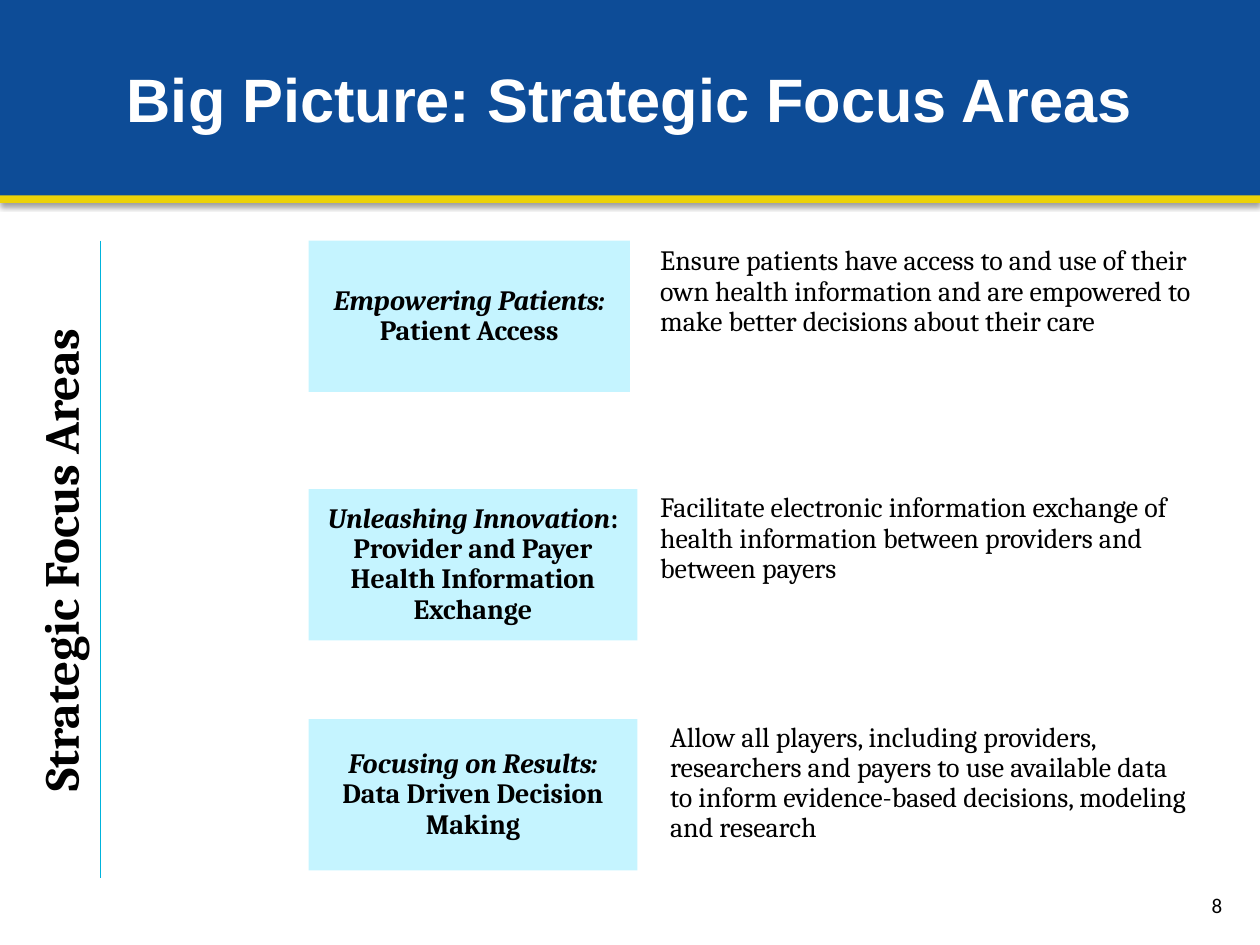
from dataclasses import dataclass

from lxml import etree
from pptx import Presentation
from pptx.dml.color import RGBColor
from pptx.enum.shapes import MSO_CONNECTOR, MSO_SHAPE
from pptx.enum.text import MSO_ANCHOR, PP_ALIGN
from pptx.oxml.ns import qn
from pptx.util import Cm, Pt

RECT, STRAIGHT = MSO_SHAPE.RECTANGLE, MSO_CONNECTOR.STRAIGHT
TOP, MIDDLE = MSO_ANCHOR.TOP, MSO_ANCHOR.MIDDLE
LEFT, CENTER, RIGHT = PP_ALIGN.LEFT, PP_ALIGN.CENTER, PP_ALIGN.RIGHT


@dataclass(frozen=True)
class Theme:
    """Colours, fonts and type sizes of the slide."""
    navy: str = "0D4C97"
    gold: str = "ECD208"
    pale: str = "C5F4FF"
    cyan: str = "00B3DC"
    white: str = "FFFFFF"
    black: str = "000000"
    title_font: str = "Arial"
    body_font: str = "Cambria"
    number_font: str = "Calibri"
    title: int = 35
    side: int = 28
    body: int = 16
    number: int = 12


THEME = Theme()
SLIDE_W, SLIDE_H = 25.4, 19.05
CARD_H, TEXT_H = 3.05, 2.74
TEXT_RIGHT = 24.34

AREAS = [
    {"lead": "Empowering Patients: ", "name": "Patient Access",
     "detail": "Ensure patients have access to and use of their own health information "
               "and are empowered to make better decisions about their care",
     "box": (6.22, 4.85, 6.48, CARD_H), "text_at": (13.06, 4.85)},
    {"lead": "Unleashing Innovation",
     "name": ": Provider and Payer Health Information Exchange",
     "detail": "Facilitate electronic information exchange of health information "
               "between providers and between payers",
     "box": (6.22, 9.86, 6.63, CARD_H), "text_at": (13.06, 9.83)},
    {"lead": "Focusing on Results: ", "name": "Data Driven Decision Making",
     "detail": "Allow all players, including providers, researchers and payers to use "
               "available data to inform evidence-based decisions, modeling and research",
     "box": (6.22, 14.5, 6.63, CARD_H), "text_at": (13.26, 14.45)},
]


def add_text(s, box, runs, *, fill=None, font=THEME.body_font, size=THEME.body,
             color=THEME.black, bold=False, align=LEFT, anchor=TOP, spacing=None,
             inset=None, vert=None):
    """Add a box with one paragraph made of (text, italic) runs."""
    pos = [Cm(v) for v in box]
    if fill:
        sp = s.shapes.add_shape(RECT, *pos)
        sp.shadow.inherit = False
        sp.fill.solid()
        sp.fill.fore_color.rgb = RGBColor.from_string(fill)
        sp.line.fill.background()
    else:
        sp = s.shapes.add_textbox(*pos)
    tf = sp.text_frame
    tf.word_wrap = True
    tf.vertical_anchor = anchor
    if inset is not None:
        tf.margin_left = tf.margin_top = tf.margin_right = tf.margin_bottom = Cm(inset)
    if vert:
        sp.element.txBody.bodyPr.set("vert", vert)
    p = tf.paragraphs[0]
    p.alignment = align
    p.line_spacing = spacing
    for text, italic in runs:
        r = p.add_run()
        r.text = text
        r.font.name = font
        r.font.size = Pt(size)
        r.font.bold = bold
        r.font.italic = italic
        r.font.color.rgb = RGBColor.from_string(color)


def add_line(s, start, end, color, width, shadow=False):
    """Add a straight rule, with a soft shadow below it if asked."""
    line = s.shapes.add_connector(STRAIGHT, *[Cm(v) for v in (*start, *end)])
    line.line.color.rgb = RGBColor.from_string(color)
    line.line.width = Pt(width)
    effects = etree.SubElement(line.element.spPr, qn("a:effectLst"))
    if shadow:
        outer = etree.SubElement(effects, qn("a:outerShdw"), blurRad=str(Pt(3.1)),
                                 dist=str(Pt(1.6)), dir="5400000", rotWithShape="0")
        tint = etree.SubElement(outer, qn("a:srgbClr"), val=THEME.black)
        etree.SubElement(tint, qn("a:alpha"), val="38000")


def add_header(s, box, title):
    """Draw the title band with the gold rule under it."""
    x, y, w, h = box
    rule_y = y + h + 0.05
    add_line(s, (x, rule_y), (x + w, rule_y), THEME.gold, 6, shadow=True)
    add_text(s, box, [(title, False)], fill=THEME.navy, font=THEME.title_font,
             size=THEME.title, color=THEME.white, bold=True, align=CENTER, anchor=MIDDLE)


def add_sidebar(s, box, label):
    """Draw the upright label and the rule on its right."""
    x, y, w, h = box
    add_text(s, (x, y + 0.33, w - 0.07, h - 0.63), [(label, False)], size=THEME.side,
             bold=True, align=CENTER, spacing=0.9, vert="vert270")
    add_line(s, (x + w, y), (x + w, y + h), THEME.cyan, 0.5)


def add_area(s, box, lead, name, detail, text_at):
    """Draw a focus area: its card and the description beside it."""
    add_text(s, box, [(lead, True), (name, False)], fill=THEME.pale, bold=True,
             align=CENTER, anchor=MIDDLE, spacing=0.9, inset=0.38)
    x, y = text_at
    add_text(s, (x, y, TEXT_RIGHT - x, TEXT_H), [(detail, False)], spacing=0.9)


def main():
    """Build the slide and save it."""
    prs = Presentation()
    prs.slide_width, prs.slide_height = Cm(SLIDE_W), Cm(SLIDE_H)
    s = prs.slides.add_slide(prs.slide_layouts[6])
    add_header(s, (0, 0, SLIDE_W, 3.94), "Big Picture: Strategic Focus Areas")
    add_sidebar(s, (0.61, 4.85, 1.42, 12.85), "Strategic Focus Areas")
    for area in AREAS:
        add_area(s, **area)
    add_text(s, (22.15, 17.73, 2.74, 1.02), [("8", False)], font=THEME.number_font,
             size=THEME.number, align=RIGHT, anchor=MIDDLE)
    prs.save("out.pptx")


if __name__ == "__main__":
    main()
